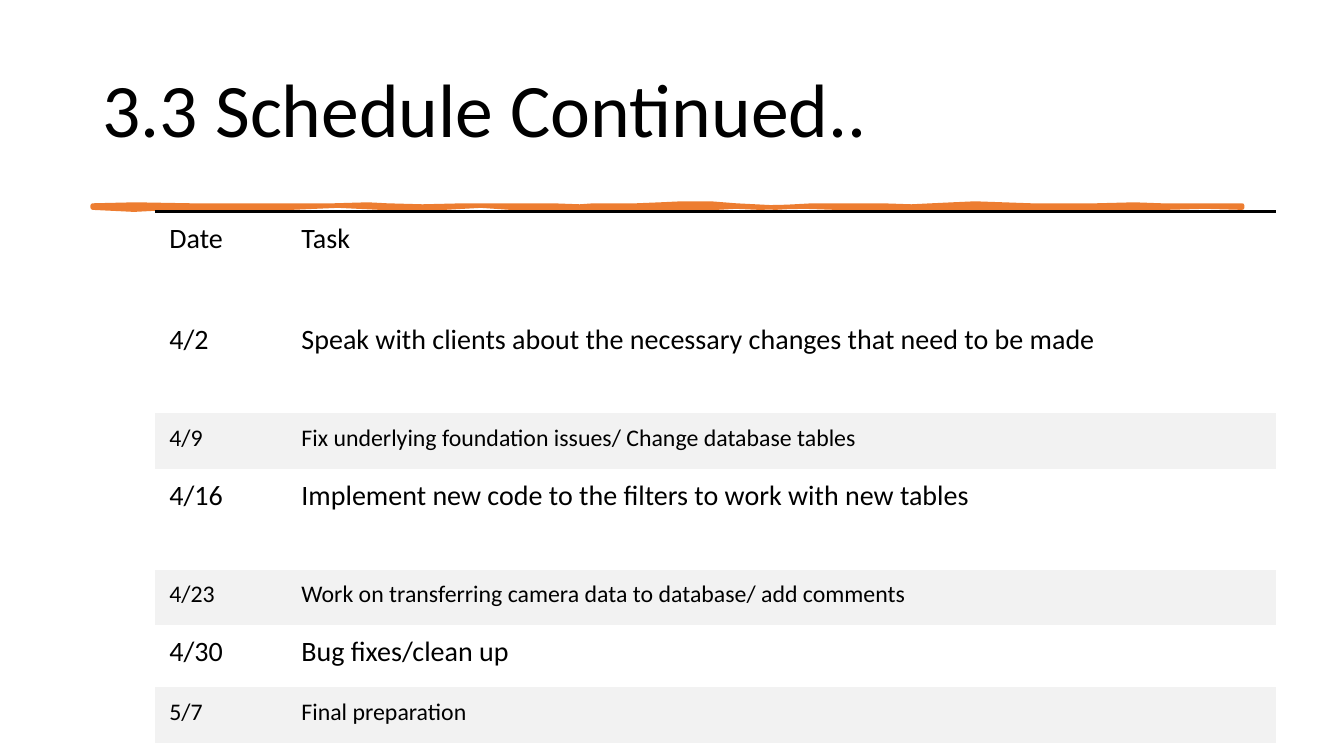
"""Build the schedule slide: title, brushed rule and task table."""
from lxml import etree
from pptx import Presentation
from pptx import util as u
from pptx.dml.color import RGBColor
from pptx.enum import text
from pptx.oxml import ns

COLORS = {"ink": "000000", "rule": "ED7D31", "band": "F2F2F2"}
NO_STYLE = "{2D5ABB26-0587-4C30-8999-92F81FD0307C}"


def write(frame, words, size, spacing=1.0, anchor=text.MSO_ANCHOR.TOP):
    frame.word_wrap = True
    frame.vertical_anchor = anchor
    para = frame.paragraphs[0]
    para.line_spacing = spacing
    span = para.add_run()
    span.text = words
    span.font.name = "Calibri"
    span.font.size = u.Pt(size)
    span.font.color.rgb = RGBColor.from_string(COLORS["ink"])


deck = Presentation()
deck.slide_width, deck.slide_height = u.Inches(13.33), u.Inches(7.5)
page = deck.slides.add_slide(deck.slide_layouts[6])

title = page.shapes.add_textbox(u.Inches(0.92), u.Inches(0.4), u.Inches(11.5), u.Inches(1.45))
write(title.text_frame, "3.3 Schedule Continued..", 54, spacing=0.9, anchor=text.MSO_ANCHOR.MIDDLE)

upper_edge = [
    (0.92, 2.04), (1.34, 2.03), (1.9, 2.04), (3.31, 2.04), (3.65, 2.03), (3.84, 2.04),
    (4.19, 2.05), (4.6, 2.04), (5.48, 2.04), (5.75, 2.05), (5.89, 2.04), (6.31, 2.04),
    (6.55, 2.03), (6.76, 2.02), (7.05, 2.02), (7.3, 2.04), (7.69, 2.06), (8.06, 2.04),
    (8.48, 2.04), (8.75, 2.04), (9.04, 2.05), (9.24, 2.04), (9.45, 2.03), (9.67, 2.02),
    (10.23, 2.04), (10.87, 2.04), (11.25, 2.03), (11.52, 2.04), (12.32, 2.04),
]
lower_edge = [
    (12.32, 2.06), (11.95, 2.05), (11.56, 2.06), (11.16, 2.08), (10.68, 2.06), (9.81, 2.06),
    (9.28, 2.06), (8.74, 2.08), (8.29, 2.06), (7.98, 2.05), (7.53, 2.06), (7.3, 2.05),
    (7.11, 2.06), (6.73, 2.07), (6.35, 2.06), (5.7, 2.06), (5.06, 2.06), (4.77, 2.04),
    (4.41, 2.06), (4.02, 2.08), (3.77, 2.06), (3.35, 2.04), (2.89, 2.06), (2.51, 2.07),
    (2.13, 2.06), (1.71, 2.06), (1.33, 2.08), (0.92, 2.06),
]
outline = [(u.Inches(x), u.Inches(y)) for x, y in upper_edge + lower_edge]
builder = page.shapes.build_freeform(*outline[0])
builder.add_line_segments(outline[1:], close=True)
rule = builder.convert_to_shape()
rule.shadow.inherit = False
rule.fill.solid()
rule.fill.fore_color.rgb = RGBColor.from_string(COLORS["rule"])
rule.line.color.rgb = RGBColor.from_string(COLORS["rule"])
rule.line.width = u.Pt(3.25)
etree.SubElement(rule.line._get_or_add_ln(), ns.qn("a:round"))

schedule = [
    ("Date", "Task", 1, 20, False),
    ("4/2", "Speak with clients about the necessary changes that need to be made", 1, 20, False),
    ("4/9", "Fix underlying foundation issues/ Change database tables", 0.55, 17, True),
    ("4/16", "Implement new code to the filters to work with new tables", 1, 20, False),
    ("4/23", "Work on transferring camera data to database/ add comments", 0.55, 17, True),
    ("4/30", "Bug fixes/clean up", 0.62, 20, False),
    ("5/7", "Final preparation", 0.55, 17, True),
]
holder = page.shapes.add_table(
    len(schedule), 2, u.Inches(1.54), u.Inches(2.1), u.Inches(11.12), u.Inches(5.27))
table = holder.table
table.first_row = table.horz_banding = False
table._tbl.tblPr.find(ns.qn("a:tableStyleId")).text = NO_STYLE
for column, width in zip(table.columns, (1.31, 9.81)):
    column.width = u.Inches(width)

for index, (date, task, height, size, banded) in enumerate(schedule):
    table.rows[index].height = u.Inches(height)
    for cell, words in zip(table.rows[index].cells, (date, task)):
        cell.margin_left = cell.margin_right = u.Inches(0.14)
        cell.margin_top = cell.margin_bottom = u.Inches(0.1)
        write(cell.text_frame, words, size)
        if banded:
            cell.fill.solid()
            cell.fill.fore_color.rgb = RGBColor.from_string(COLORS["band"])
        else:
            cell.fill.background()

for cell in table.rows[0].cells:
    border = etree.Element(ns.qn("a:lnT"), w=str(u.Pt(2.25)))
    paint = etree.SubElement(border, ns.qn("a:solidFill"))
    etree.SubElement(paint, ns.qn("a:srgbClr"), val=COLORS["ink"])
    cell._tc.get_or_add_tcPr().insert(0, border)

deck.save("out.pptx")
